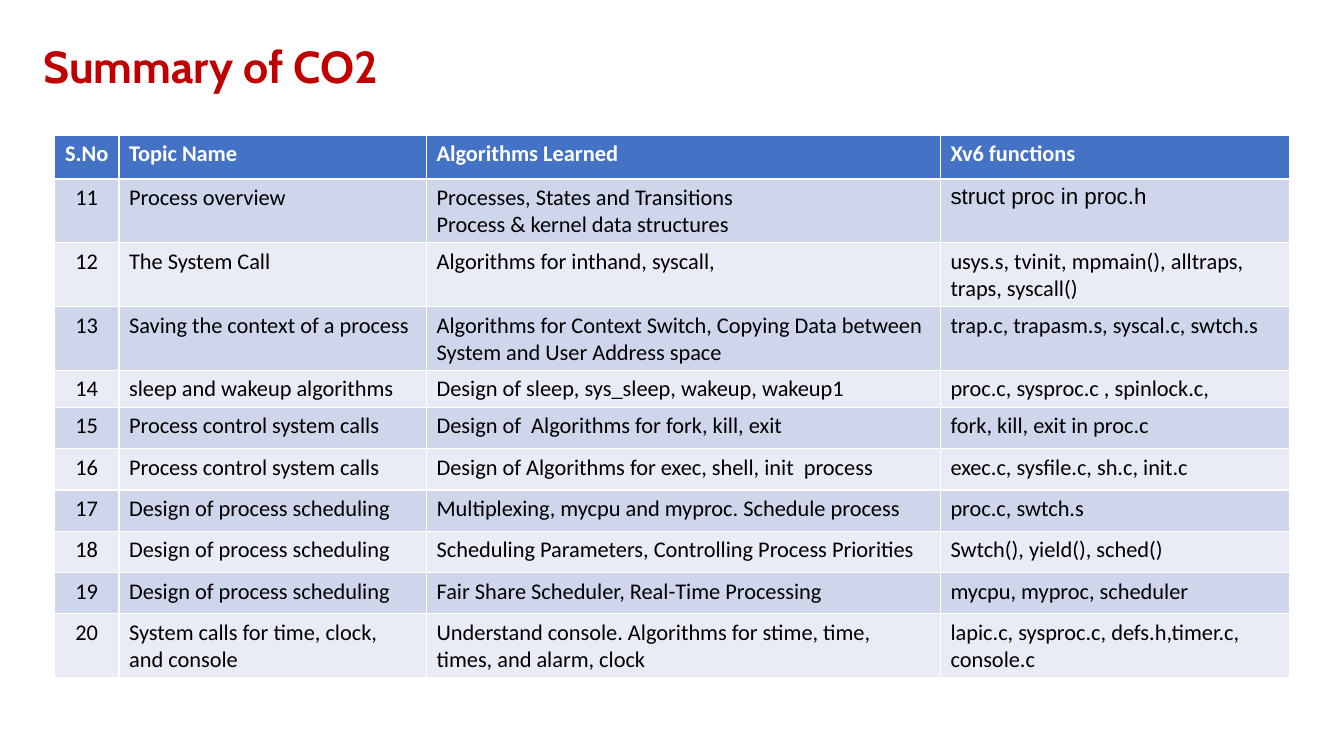
from pptx import Presentation
from pptx.dml.color import RGBColor
from pptx.enum.text import MSO_ANCHOR, MSO_AUTO_SIZE, PP_ALIGN
from pptx.util import Cm, Pt


def style(paragraph, font_name, size, color, bold=False, align=PP_ALIGN.LEFT):
    paragraph.alignment = align
    font = paragraph.font
    font.name, font.size, font.bold = font_name, Pt(size), bold
    font.color.rgb = RGBColor.from_string(color)


HEADER_FILL, ODD_FILL, EVEN_FILL = "4472C4", "CFD5EA", "E9EBF5"
COLUMN_WIDTHS = [1.63, 7.75, 12.95, 8.79]
HEADER_HEIGHT, TOPIC_HEIGHT, SLEEP_HEIGHT = 1.11, 1.04, 0.38
FIRST_NUMBER = 11

HEADINGS = ["S.No", "Topic Name", "Algorithms Learned", "Xv6 functions"]
TOPICS = [
    ("Process overview",
     "Processes, States and Transitions\nProcess & kernel data structures",
     "struct proc in proc.h"),
    ("The System Call", "Algorithms for inthand, syscall,",
     "usys.s, tvinit, mpmain(), alltraps, traps, syscall()"),
    ("Saving the context of a process",
     "Algorithms for Context Switch, Copying Data between System and User Address space",
     "trap.c, trapasm.s, syscal.c, swtch.s"),
    ("sleep and wakeup algorithms", "Design of sleep, sys_sleep, wakeup, wakeup1",
     "proc.c, sysproc.c , spinlock.c,"),
    ("Process control system calls", "Design of  Algorithms for fork, kill, exit",
     "fork, kill, exit in proc.c"),
    ("Process control system calls", "Design of Algorithms for exec, shell, init  process",
     "exec.c, sysfile.c, sh.c, init.c"),
    ("Design of process scheduling", "Multiplexing, mycpu and myproc. Schedule process",
     "proc.c, swtch.s"),
    ("Design of process scheduling", "Scheduling Parameters, Controlling Process Priorities",
     "Swtch(), yield(), sched()"),
    ("Design of process scheduling", "Fair Share Scheduler, Real-Time Processing",
     "mycpu, myproc, scheduler"),
    ("System calls for time, clock, and console",
     "Understand console. Algorithms for stime, time, times, and alarm, clock",
     "lapic.c, sysproc.c, defs.h,timer.c, console.c"),
]

prs = Presentation()
prs.slide_width, prs.slide_height = Cm(33.87), Cm(19.05)
slide = prs.slides.add_slide(prs.slide_layouts[5])

# Title
title = slide.shapes.title
title.left, title.top, title.width, title.height = Cm(0.84), Cm(0.84), Cm(10.87), Cm(1.63)
title.text_frame.text = "Summary of CO2"
title.text_frame.vertical_anchor = MSO_ANCHOR.TOP
title.text_frame.auto_size = MSO_AUTO_SIZE.SHAPE_TO_FIT_TEXT
style(title.text_frame.paragraphs[0], "Cabin", 32, "C00000", bold=True)

# Topic table; its default style draws the white borders
rows = [HEADINGS] + [(str(number), *topic) for number, topic in enumerate(TOPICS, FIRST_NUMBER)]
row_heights = [HEADER_HEIGHT] + [TOPIC_HEIGHT] * len(TOPICS)
row_heights[4] = SLEEP_HEIGHT  # grows to fit its single line
summary = slide.shapes.add_table(
    len(rows), len(HEADINGS), Cm(1.37), Cm(3.4),
    Cm(sum(COLUMN_WIDTHS)), Cm(sum(row_heights))).table
for column, width in zip(summary.columns, COLUMN_WIDTHS):
    column.width = Cm(width)

for r, (texts, height) in enumerate(zip(rows, row_heights)):
    summary.rows[r].height = Cm(height)
    is_header = r == 0
    fill = HEADER_FILL if is_header else ODD_FILL if r % 2 else EVEN_FILL
    for c, text in enumerate(texts):
        cell = summary.cell(r, c)
        cell.text = text
        cell.fill.solid()
        cell.fill.fore_color.rgb = RGBColor.from_string(fill)
        font_name = "Arial" if text.startswith("struct") else "Calibri"
        for paragraph in cell.text_frame.paragraphs:
            style(paragraph, font_name, 16, "FFFFFF" if is_header else "000000",
                  bold=is_header, align=PP_ALIGN.LEFT if c else PP_ALIGN.CENTER)

prs.save("out.pptx")
